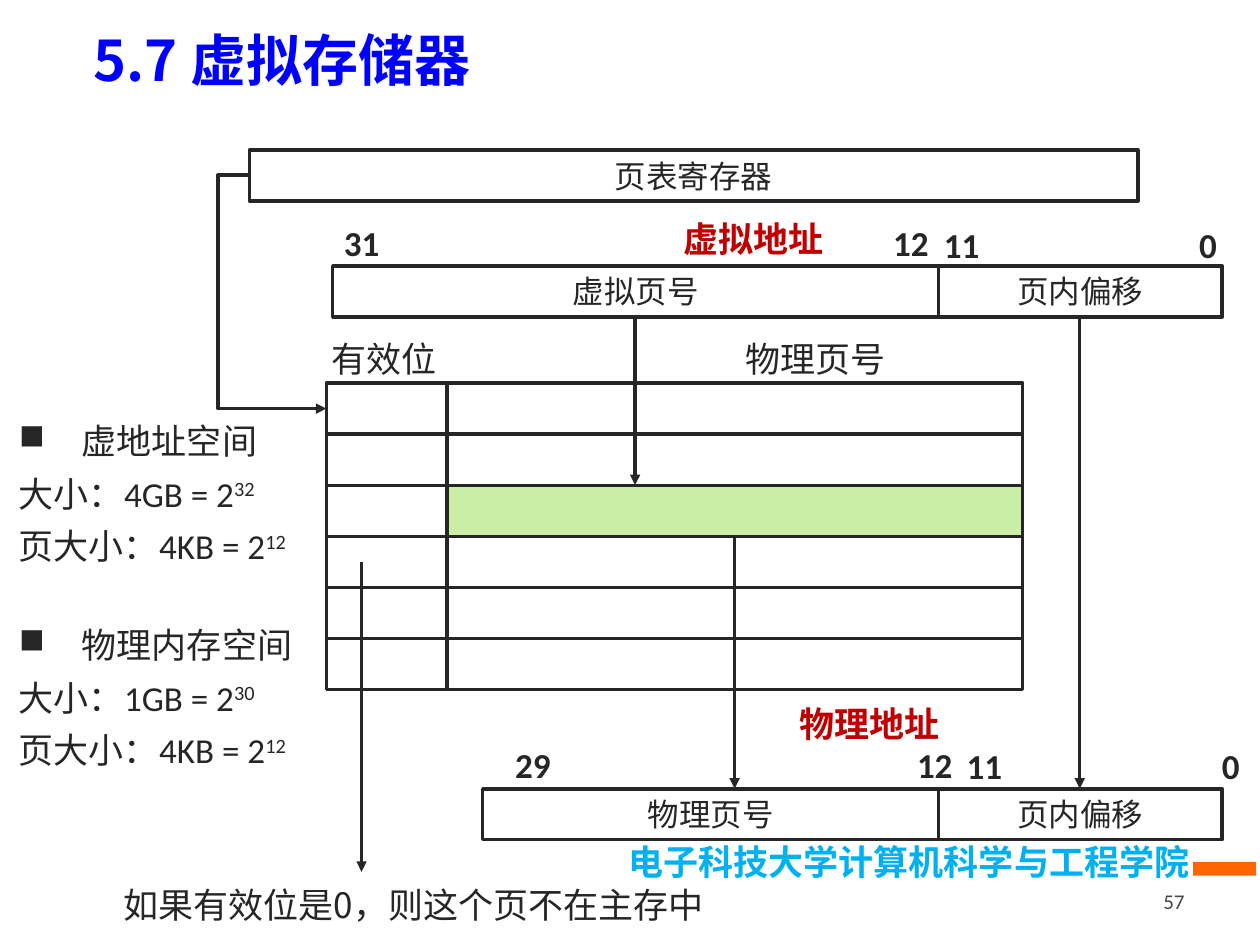
from lxml import etree
from pptx import Presentation
from pptx.dml.color import RGBColor
from pptx.enum.shapes import MSO_CONNECTOR, MSO_SHAPE
from pptx.enum.text import MSO_ANCHOR, PP_ALIGN
from pptx.oxml.ns import qn
from pptx.util import Pt

RECT = MSO_SHAPE.RECTANGLE
STRAIGHT, ELBOW = MSO_CONNECTOR.STRAIGHT, MSO_CONNECTOR.ELBOW
TOP, MIDDLE = MSO_ANCHOR.TOP, MSO_ANCHOR.MIDDLE
LEFT, CENTER, RIGHT = PP_ALIGN.LEFT, PP_ALIGN.CENTER, PP_ALIGN.RIGHT


def rgb(value):
    return RGBColor.from_string(value)


def sub(parent, tag, **attrs):
    return etree.SubElement(parent, qn(tag), attrs)


class SlideWriter:
    LATIN, CJK = "Calibri", "Noto Sans CJK SC"
    INK, RED, BLUE, SKY = "262626", "C00000", "0000FF", "00B0F0"
    GREY, GREEN, ORANGE = "474747", "CAEEA6", "FF6600"
    LINE = 2

    def __init__(self, s):
        self.s = s

    def run(self, p, text, size=20, color=INK, bold=False, font=LATIN, base=0):
        r = p.add_run()
        r.text = text
        formats = {"size": Pt(size), "bold": bold, "name": font}
        for name, value in formats.items():
            setattr(r.font, name, value)
        r.font.color.rgb = rgb(color)
        rPr = r._r.get_or_add_rPr()
        sub(rPr, "a:ea", typeface=self.CJK)
        if base:
            rPr.set("baseline", str(base * 1000))

    def frame(self, sp, anchor=MIDDLE, insets=(0, 0)):
        tf = sp.text_frame
        x, y = insets
        formats = {"word_wrap": True, "vertical_anchor": anchor,
                   "margin_left": Pt(x), "margin_right": Pt(x),
                   "margin_top": Pt(y), "margin_bottom": Pt(y)}
        for name, value in formats.items():
            setattr(tf, name, value)
        return tf

    def textbox(self, x, y, w, h, anchor=MIDDLE, insets=(0, 0)):
        sp = self.s.shapes.add_textbox(Pt(x), Pt(y), Pt(w), Pt(h))
        return self.frame(sp, anchor, insets)

    def label(self, text, x, y, w, h, align=CENTER, insets=(0, 0), **style):
        p = self.textbox(x, y, w, h, insets=insets).paragraphs[0]
        p.alignment = align
        self.run(p, text, **style)

    def bits(self, high, low, x, y, w, h, pad):
        p = self.textbox(x, y, w, h, insets=(pad, 0)).paragraphs[0]
        p.alignment = LEFT
        tabs = sub(p._p.get_or_add_pPr(), "a:tabLst")
        sub(tabs, "a:tab", pos=str(Pt(w - 2 * pad)), algn="r")
        self.run(p, f"{high}\t{low}", bold=True)

    def box(self, x, y, w, h, text="", fill=None, line=INK):
        sp = self.s.shapes.add_shape(RECT, Pt(x), Pt(y), Pt(w), Pt(h))
        sp.shadow.inherit = False
        if fill:
            sp.fill.solid()
            sp.fill.fore_color.rgb = rgb(fill)
        else:
            sp.fill.background()
        if line:
            sp.line.color.rgb = rgb(line)
            sp.line.width = Pt(self.LINE)
        else:
            sp.line.fill.background()
        if text:
            p = self.frame(sp).paragraphs[0]
            p.alignment = CENTER
            self.run(p, text, size=18)

    def arrow(self, x1, y1, x2, y2, bend=None):
        kind = STRAIGHT if bend is None else ELBOW
        sp = self.s.shapes.add_connector(kind, Pt(x1), Pt(y1), Pt(x2), Pt(y2))
        sp.line.color.rgb = rgb(self.INK)
        sp.line.width = Pt(self.LINE)
        sub(sp.line._get_or_add_ln(), "a:tailEnd", type="triangle")
        spPr = sp._element.spPr
        sub(spPr, "a:effectLst")
        if bend is not None:
            guides = spPr.find(qn("a:prstGeom")).get_or_add_avLst()
            sub(guides, "a:gd", name="adj1", fmla=f"val {round(bend * 100000)}")

    def sizes(self, heading, items, x, y, w, h):
        tf = self.textbox(x, y, w, h, TOP, (7.9, 3.6))
        p = tf.paragraphs[0]
        p.line_spacing = 1.25
        pPr = p._p.get_or_add_pPr()
        pPr.set("marL", str(Pt(36)))
        pPr.set("indent", str(-Pt(36)))
        sub(pPr, "a:buChar", char="■")
        self.run(p, heading)
        for text, power in items:
            p = tf.add_paragraph()
            p.line_spacing = 1.25
            self.run(p, text)
            self.run(p, power, base=30)


def main():
    prs = Presentation()
    prs.slide_width, prs.slide_height = Pt(720), Pt(540)
    d = SlideWriter(prs.slides.add_slide(prs.slide_layouts[6]))
    inset = (7.2, 3.6)
    row_h, split, right = 29.16, 536.4, 698.4

    d.label("电子科技大学计算机科学与工程学院", 59, 476.6, 627.8, 31.7, RIGHT,
            inset, color=d.SKY, bold=True, font=d.CJK)
    d.box(681.8, 492.5, 36, 8, fill=d.ORANGE, line=None)
    d.label("5.7 虚拟存储器", 46.1, 6.5, 645.1, 54, LEFT, inset,
            size=32, color=d.BLUE, bold=True, font=d.CJK)

    d.box(142.6, 85.7, 507.6, row_h, "页表寄存器")
    for x, y, name in ((190.1, 151.9, "虚拟页号"), (275.8, 450.7, "物理页号")):
        d.box(split, y, right - split, row_h, "页内偏移")
        d.box(x, y, split - x, row_h, name)

    d.bits("31", "12", 191.5, 125.3, 344.2, 26.6, 5)
    d.bits("11", "0", 536.4, 126.7, 162, 26.6, 3)
    d.bits("29", "12", 289.4, 422.6, 260, 28.1, 5)
    d.bits("11", "0", 549.4, 424.1, 162, 26.6, 3)
    for text, x, y in (("虚拟地址", 350.6, 116.6), ("物理地址", 416.9, 393.8)):
        d.label(text, x, y, 159.8, 39.6, color=d.RED, bold=True)

    d.label("有效位", 171.4, 185, 95.8, 39.6)
    d.label("物理页号", 396, 185, 139.7, 39.6)
    for i in range(6):
        y = 219 + i * row_h
        d.box(255.5, y, 329, row_h, fill=d.GREEN if i == 2 else None)
        d.box(186.5, y, 69, row_h)

    d.arrow(142.6, 100.1, 186.5, 233.5, bend=-0.41)
    for x, y1, y2 in ((362.9, 181, 277.2), (419.8, 307.4, 450.7),
                      (617, 181, 450.7), (206.6, 321.1, 498.2)):
        d.arrow(x, y1, x, y2)

    page = ("页大小：4KB = 2", "12")
    for heading, total, y in (
            ("虚地址空间", ("大小：4GB = 2", "32"), 230.4),
            ("物理内存空间", ("大小：1GB = 2", "30"), 347)):
        d.sizes(heading, (total, page), 2.9, y, 203.8, 98.6)

    d.label("如果有效位是0，则这个页不在主存中", 70.6, 496.8, 374.4, 39.6, LEFT,
            font=d.CJK)
    d.label("57", 516.2, 500.4, 167.8, 28.8, RIGHT, inset,
            size=12, color=d.GREY)
    prs.save("out.pptx")


if __name__ == "__main__":
    main()
